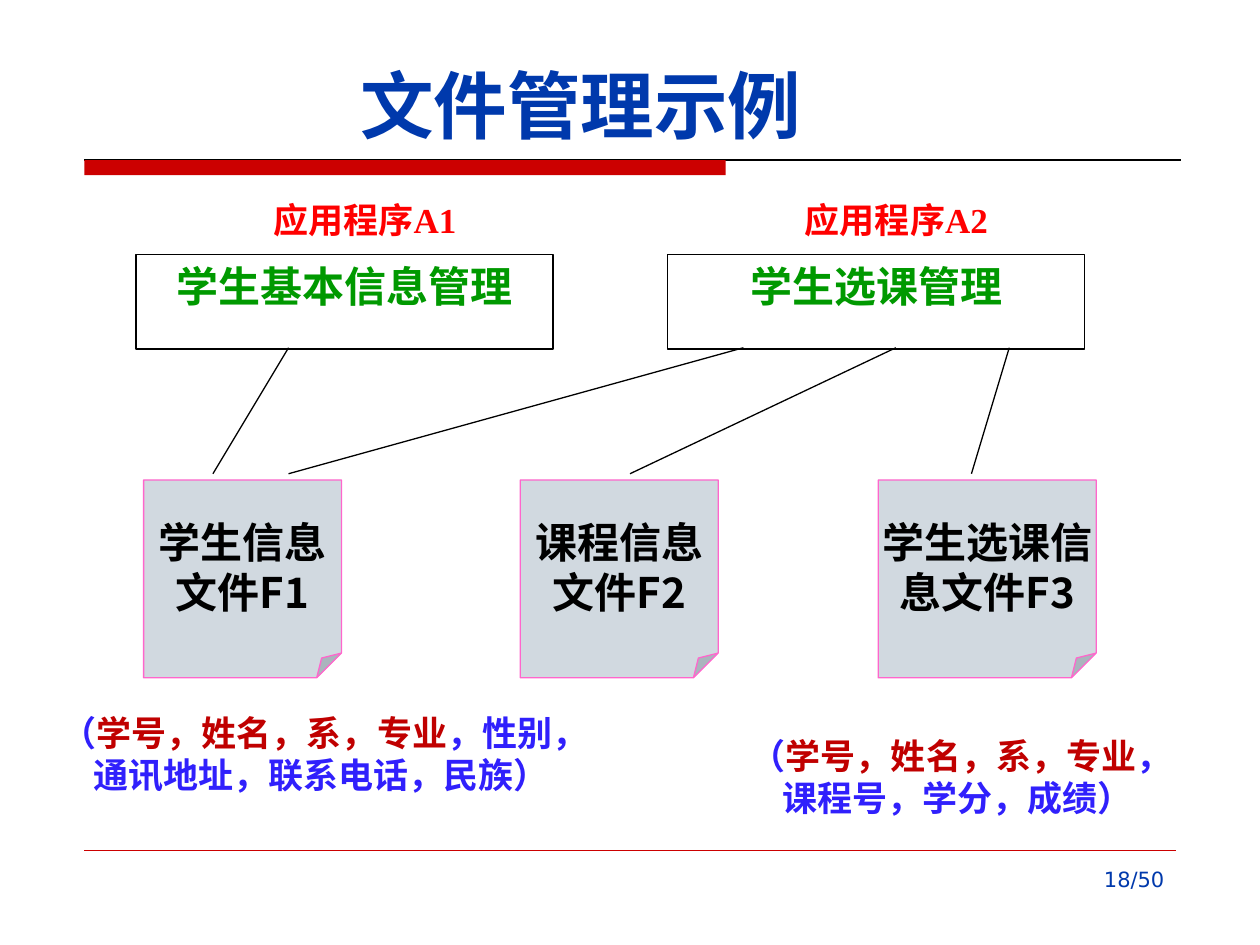
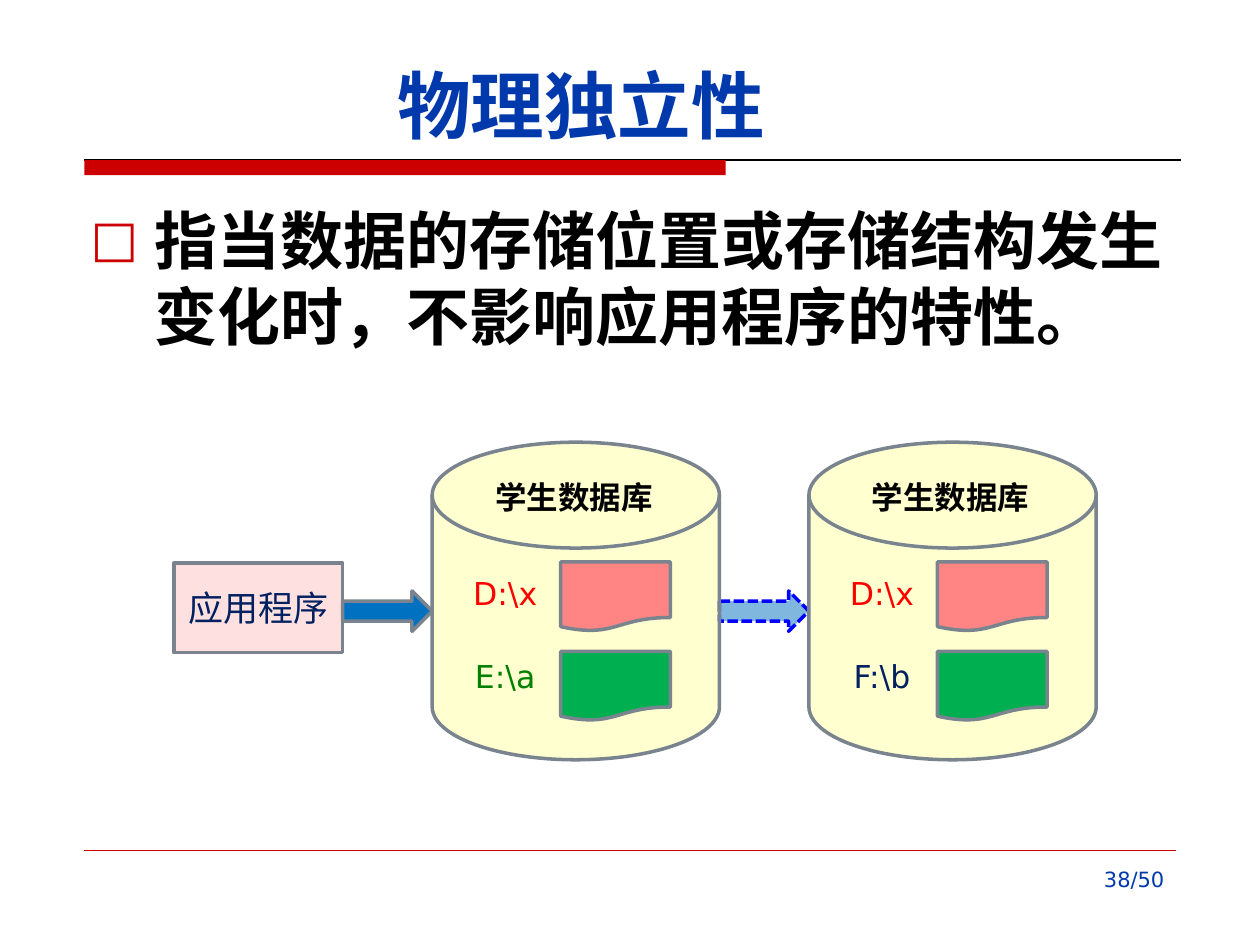
"""Build two database slides: a file management example and physical independence."""
import pptx
import pptx.dml.color
import pptx.enum.dml
import pptx.enum.shapes
import pptx.enum.text
import pptx.oxml
import pptx.oxml.ns
import pptx.util

RGBColor = pptx.dml.color.RGBColor
Kind = pptx.enum.shapes.MSO_SHAPE
Align = pptx.enum.text.PP_ALIGN
Anchor = pptx.enum.text.MSO_ANCHOR

EMU_PER_PX = 9144
SANS, CJK, SERIF = "DejaVu Sans", "Noto Sans CJK SC", "Times New Roman"

WHITE = RGBColor(0xFF, 0xFF, 0xFF)
BLACK = RGBColor(0x00, 0x00, 0x00)
TITLE_BLUE = RGBColor(0x00, 0x39, 0xAC)
BAND_RED = RGBColor(0xCC, 0x00, 0x00)
RED = RGBColor(0xFF, 0x00, 0x00)
GREEN = RGBColor(0x00, 0x99, 0x00)
NOTE_FILL = RGBColor(0xA3, 0xB2, 0xC1)
NOTE_LINE = RGBColor(0xFF, 0x66, 0xCC)
FIELD_BLUE = RGBColor(0x30, 0x20, 0xFC)
FIELD_RED = RGBColor(0xC0, 0x00, 0x00)
GRAY = RGBColor(0x79, 0x84, 0x8F)
NAVY = RGBColor(0x00, 0x20, 0x60)
PROGRAM_PINK = RGBColor(0xFF, 0xC2, 0xC2)
ARROW_BLUE = RGBColor(0x00, 0x70, 0xC0)
DASH_BLUE = RGBColor(0x00, 0x00, 0xFF)
DISK_YELLOW = RGBColor(0xFF, 0xFF, 0x00)
FILE_PINK = RGBColor(0xFF, 0x85, 0x85)
FILE_GREEN = RGBColor(0x00, 0xB0, 0x50)
PATH_GREEN = RGBColor(0x00, 0x80, 0x00)


def draw(shapes, kind, box, fill=None, line=None, width=0.75, alpha=100):
    """Add a preset shape, a straight line ("line") or a text box ("text")."""
    lengths = [value * EMU_PER_PX for value in box]
    if kind == "text":
        return shapes.add_textbox(*lengths)
    if kind == "line":
        shape = shapes.add_connector(pptx.enum.shapes.MSO_CONNECTOR.STRAIGHT, *lengths)
        properties = shape.element.find(pptx.oxml.ns.qn("p:spPr"))
    else:
        shape = shapes.add_shape(kind, *lengths)
        shape.shadow.inherit = False
        shape.fill.solid()
        shape.fill.fore_color.rgb = fill
        if alpha < 100:
            color = shape.element.spPr.find(".//" + pptx.oxml.ns.qn("a:srgbClr"))
            color.append(pptx.oxml.parse_xml(
                f'<a:alpha {pptx.oxml.ns.nsdecls("a")} val="{alpha * 1000}"/>'))
    if line is None:
        shape.line.fill.background()
    else:
        shape.line.color.rgb = line
        shape.line.width = pptx.util.Pt(width)
    if kind == "line":
        properties.append(pptx.oxml.parse_xml(
            f'<a:effectLst {pptx.oxml.ns.nsdecls("a")}/>'))
    return shape


def write(shape, paragraphs, color, size, name, bold=False, align=Align.CENTER,
          anchor=Anchor.TOP, wrap=True):
    """Fill a shape with paragraphs, each a string or a list of (text, color)."""
    frame = shape.text_frame
    frame.word_wrap = wrap
    frame.vertical_anchor = anchor
    font_format = {"size": pptx.util.Pt(size), "name": name, "bold": bold}
    for index, runs in enumerate(paragraphs):
        paragraph = frame.add_paragraph() if index else frame.paragraphs[0]
        paragraph.alignment = align
        for text, run_color in [(runs, color)] if isinstance(runs, str) else runs:
            run = paragraph.add_run()
            run.text = text
            for attribute, value in font_format.items():
                setattr(run.font, attribute, value)
            run.font.color.rgb = run_color
            run.font._element.find(pptx.oxml.ns.qn("a:latin")).addnext(
                pptx.oxml.parse_xml(
                    f'<a:ea {pptx.oxml.ns.nsdecls("a")} typeface="{CJK}"/>'))


presentation = pptx.Presentation()
presentation.slide_width = 1000 * EMU_PER_PX
presentation.slide_height = 750 * EMU_PER_PX
layout = presentation.slide_layouts[5]

title_place = dict(zip(("left", "top", "width", "height"),
                       (value * EMU_PER_PX for value in (39, 33, 844, 90))))
slides = []
for title, page in (("文件管理示例", "18/50"), ("物理独立性", "38/50")):
    slide = presentation.slides.add_slide(layout)
    for attribute, value in title_place.items():
        setattr(slide.shapes.title, attribute, value)
    write(slide.shapes.title, [title], TITLE_BLUE, 42, CJK, bold=True,
          anchor=Anchor.BOTTOM)
    write(draw(slide.shapes, "text", (717, 683, 217, 52)), [page], TITLE_BLUE, 12,
          SANS, align=Align.RIGHT)
    slides.append(slide)
files_slide, independence_slide = slides

frame_parts = [
    draw(files_slide.shapes, "line", (67, 127, 937, 127), line=BLACK),
    draw(files_slide.shapes, Kind.RECTANGLE, (67, 127, 509, 12), BAND_RED),
    draw(files_slide.shapes, "line", (67, 675, 933, 675), line=BAND_RED, width=0.25),
]
for part in frame_parts:
    layout.shapes.element.append(part.element)

shapes = files_slide.shapes
for left, program, task in ((108, "应用程序A1", "学生基本信息管理"),
                            (530, "应用程序A2", "学生选课管理")):
    label = draw(shapes, Kind.RECTANGLE, (left + 61, 153, 241, 74), WHITE)
    write(label, [program], RED, 20, SERIF, bold=True)
    task_box = draw(shapes, Kind.RECTANGLE, (left, 202, 331, 75), WHITE, BLACK)
    write(task_box, [task], GREEN, 24, SERIF, bold=True)

for task_x, file_x in ((229, 169), (590, 229), (711, 500), (801, 771)):
    draw(shapes, "line", (task_x, 276, file_x, 376), line=BLACK)

for left, width, lines in ((114, 157, ("学生信息", "文件F1")),
                           (413, 157, ("课程信息", "文件F2")),
                           (697, 173, ("学生选课信", "息文件F3"))):
    note = draw(shapes, Kind.FOLDED_CORNER, (left, 381, width, 157), NOTE_FILL,
                NOTE_LINE, alpha=49)
    fold = pptx.oxml.parse_xml(
        f'<a:gd {pptx.oxml.ns.nsdecls("a")} name="adj" fmla="val 12500"/>')
    note.element.spPr.find(".//" + pptx.oxml.ns.qn("a:avLst")).append(fold)
    write(note, lines, BLACK, 24, CJK, bold=True, anchor=Anchor.MIDDLE, wrap=False)

for box, first_end, second_line in (
        ((39, 560, 414, 77), "，性别，", "通讯地址，联系电话，民族）"),
        ((586, 578, 375, 77), "，", "课程号，学分，成绩）")):
    fields = draw(shapes, "text", box)
    first_line = [("（", FIELD_BLUE), ("学号，姓名，系，专业", FIELD_RED),
                  (first_end, FIELD_BLUE)]
    write(fields, [first_line, second_line], FIELD_BLUE, 20, SANS, bold=True,
          align=Align.LEFT)
    second_properties = fields.text_frame.paragraphs[1]._p.get_or_add_pPr()
    second_properties.set("marL", str(25 * EMU_PER_PX))

shapes = independence_slide.shapes
definition = draw(shapes, "text", (62, 155, 875, 173))
write(definition, ["指当数据的存储位置或存储结构发生变化时，不影响应用程序的特性。"],
      BLACK, 36, CJK, bold=True, align=Align.LEFT)
bullet_properties = definition.text_frame.paragraphs[0]._p.get_or_add_pPr()
for attribute, value in {"marL": 51, "indent": -51}.items():
    bullet_properties.set(attribute, str(value * EMU_PER_PX))
for tag, inner in (("buClr", f'><a:srgbClr val="{BAND_RED}"/></a:buClr>'),
                   ("buSzPct", ' val="80000"/>'),
                   ("buFont", f' typeface="{SANS}"/>'),
                   ("buChar", ' char="□"/>')):
    bullet_properties.append(pptx.oxml.parse_xml(
        f'<a:{tag} {pptx.oxml.ns.nsdecls("a")}{inner}'))

program_box = draw(shapes, Kind.RECTANGLE, (138, 447, 134, 71), PROGRAM_PINK, GRAY,
                   width=2, alpha=50)
write(program_box, ["应用程序"], NAVY, 20, CJK, anchor=Anchor.MIDDLE)
draw(shapes, Kind.RIGHT_ARROW, (272, 469, 71, 32), ARROW_BLUE, GRAY, width=2)
move_arrow = draw(shapes, Kind.RIGHT_ARROW, (571, 469, 71, 32), ARROW_BLUE, DASH_BLUE,
                  width=2, alpha=50)
move_arrow.line.dash_style = pptx.enum.dml.MSO_LINE.SQUARE_DOT

for left, second_location, second_color in ((343, "E:\\a", PATH_GREEN),
                                            (642, "F:\\b", NAVY)):
    database = shapes.add_group_shape().shapes
    draw(database, Kind.FLOWCHART_MAGNETIC_DISK, (left, 351, 228, 252), DISK_YELLOW,
         GRAY, width=2, alpha=19)
    for file_top, location_top, file_fill, location, location_color in (
            (446, 451, FILE_PINK, "D:\\x", RED),
            (517, 517, FILE_GREEN, second_location, second_color)):
        draw(database, Kind.FLOWCHART_DOCUMENT, (left + 102, file_top, 87, 55),
             file_fill, GRAY, width=2)
        write(draw(database, "text", (left + 15, location_top, 86, 39)), [location],
              location_color, 18, SANS, anchor=Anchor.MIDDLE)
    write(draw(database, "text", (left + 34, 367, 157, 55)), ["学生数据库"], BLACK, 18,
          CJK, bold=True, anchor=Anchor.MIDDLE)

presentation.save("out.pptx")
